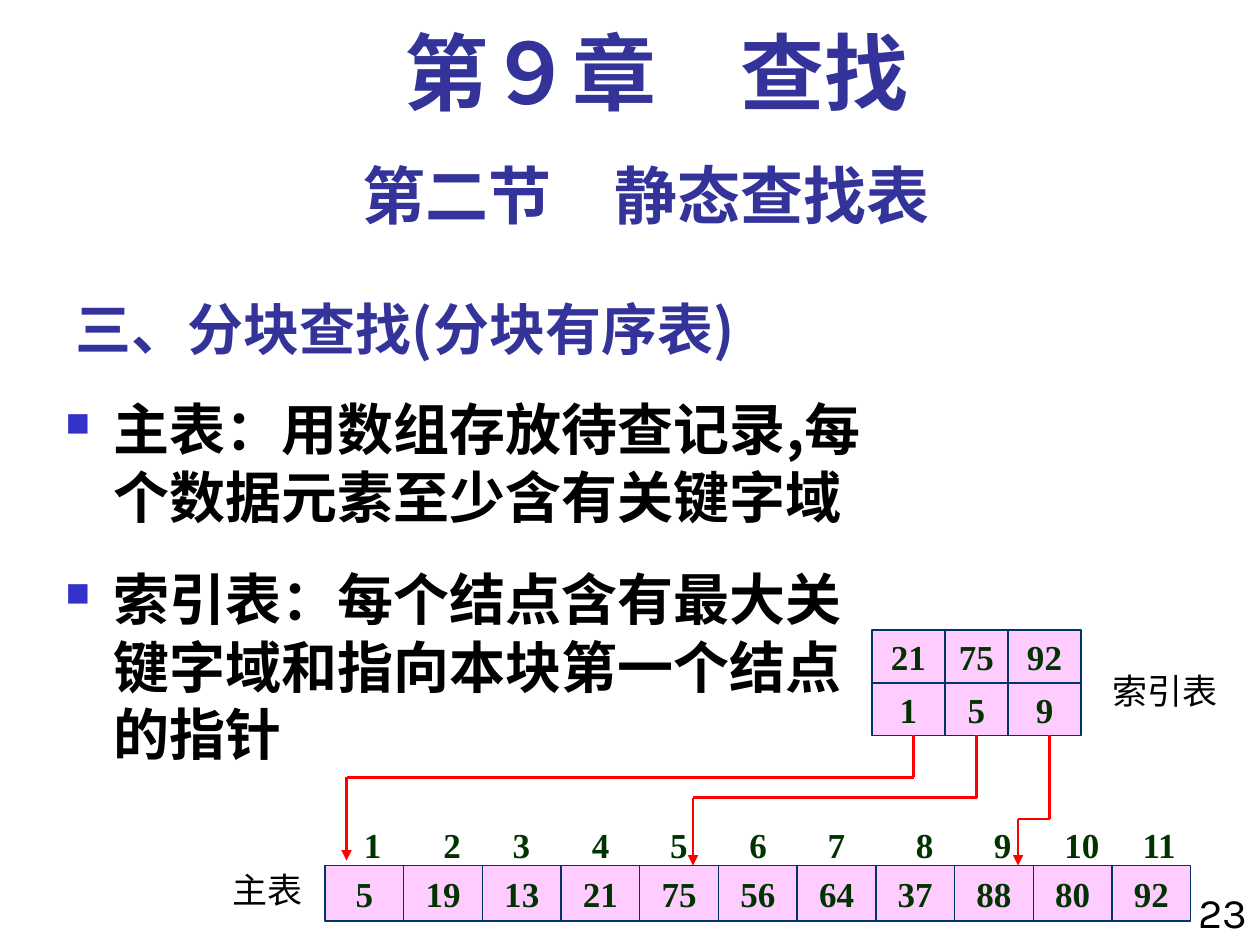
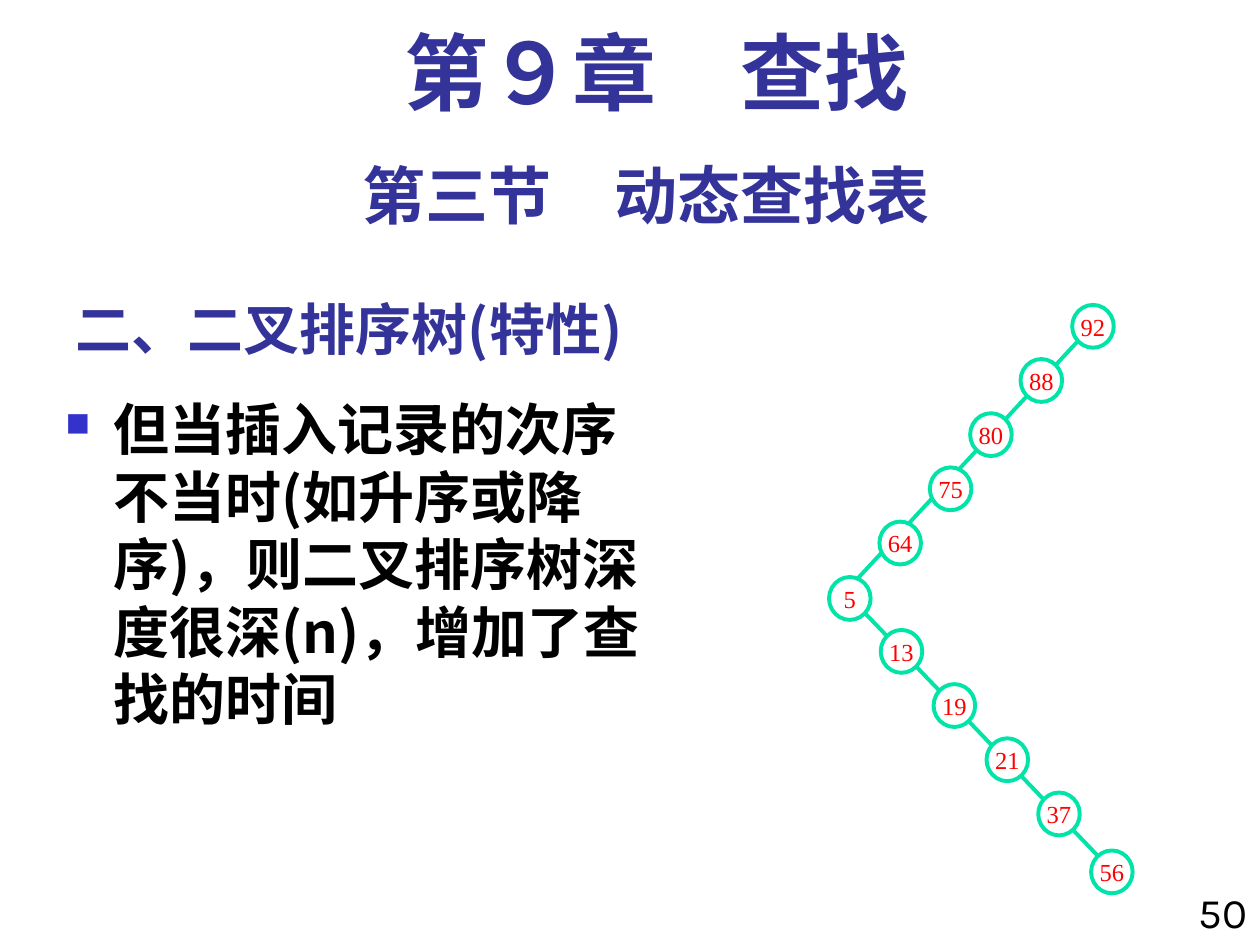
from dataclasses import dataclass
from itertools import accumulate

from lxml import etree
from pptx import Presentation
from pptx.dml.color import RGBColor
from pptx.enum.shapes import MSO_CONNECTOR as CONN, MSO_SHAPE as SHAPE
from pptx.enum.text import MSO_ANCHOR as ANCHOR, PP_ALIGN as ALIGN
from pptx.oxml.ns import qn
from pptx.util import Inches, Pt


@dataclass(frozen=True)
class Theme:
    heading: str = "333399"
    text: str = "000000"
    bullet: str = "3333CC"
    cell_fill: str = "FFCCFF"
    cell_line: str = "003366"
    cell_text: str = "003300"
    pointer: str = "FF0000"
    tree: str = "00E4A8"
    node_fill: str = "FFFFFF"
    sans: str = "Karla"
    cjk: str = "Noto Sans CJK SC"
    serif: str = "Times New Roman"
    chapter_size: int = 48
    section_size: int = 36
    body_size: int = 32
    number_size: int = 24
    label_size: int = 20
    node_size: int = 14


T = Theme()


def rgb(value):
    return RGBColor.from_string(value)


def sub(parent, tag, **attrs):
    return etree.SubElement(parent, qn(tag), attrs)


def add_run(p, text, size, font, color, bold=False):
    r = p.add_run()
    r.text = text
    f = r.font
    f.size, f.bold, f.name = Pt(size), bold, font
    f.color.rgb = rgb(color)
    sub(f._element, "a:ea", typeface=T.cjk)


def text_frame(shapes, box, anchor=ANCHOR.TOP):
    tf = shapes.add_textbox(*map(Inches, box)).text_frame
    tf.word_wrap = True
    tf.vertical_anchor = anchor
    return tf


def add_text(shapes, box, text, size, font, color, bold=False, align=ALIGN.LEFT,
             anchor=ANCHOR.TOP, leading=1.25):
    tf = text_frame(shapes, box, anchor)
    p = tf.paragraphs[0]
    p.alignment = align
    p.line_spacing = Pt(round(size * leading, 1))
    add_run(p, text, size, font, color, bold)
    return tf


def add_bullets(shapes, box, items, gap=20):
    tf = text_frame(shapes, box)
    for i, item in enumerate(items):
        p = tf.add_paragraph() if i else tf.paragraphs[0]
        p.line_spacing = Pt(38.6)
        p.space_before = Pt(gap if i else 0)
        pPr = p._p.get_or_add_pPr()
        pPr.set("marL", str(Inches(0.38)))
        pPr.set("indent", str(-Inches(0.38)))
        sub(sub(pPr, "a:buClr"), "a:srgbClr", val=T.bullet)
        sub(pPr, "a:buSzPct", val="60000")
        sub(pPr, "a:buChar", char="■")
        add_run(p, item, T.body_size, T.cjk, T.text, True)


def add_line(shapes, start, end, color, width, arrow=False):
    c = shapes.add_connector(CONN.STRAIGHT, *map(Inches, (*start, *end)))
    c.line.color.rgb = rgb(color)
    c.line.width = Pt(width)
    if arrow:
        sub(c.line._get_or_add_ln(), "a:tailEnd", type="triangle")
    sub(c._element.spPr, "a:effectLst")


def add_value(shapes, kind, box, text, fill, line, width, size, color, bold):
    """Draw one outlined shape holding a centred number."""
    sp = shapes.add_shape(kind, *map(Inches, box))
    sp.shadow.inherit = False
    sp.fill.solid()
    sp.fill.fore_color.rgb = rgb(fill)
    sp.line.color.rgb = rgb(line)
    sp.line.width = Pt(width)
    tf = sp.text_frame
    tf.word_wrap = False
    tf.vertical_anchor = ANCHOR.MIDDLE
    p = tf.paragraphs[0]
    p.alignment = ALIGN.CENTER
    add_run(p, str(text), size, T.serif, color, bold)


def add_cell(shapes, box, text):
    add_value(shapes, SHAPE.RECTANGLE, box, text, T.cell_fill, T.cell_line, 0.75,
              T.label_size, T.cell_text, True)


def add_node(shapes, left, top, key):
    add_value(shapes, SHAPE.OVAL, (left, top, 0.33, 0.34), key, T.node_fill, T.tree,
              2.25, T.node_size, T.pointer, False)


def add_page(prs, section, topic, number):
    """Add a slide with the chapter, section and topic headings and its number."""
    shapes = prs.slides.add_slide(prs.slide_layouts[6]).shapes
    add_text(shapes, (0.67, 0.17, 9.08, 0.83), "第９章　查找", T.chapter_size, T.serif,
             T.heading, True, ALIGN.CENTER, leading=1.12)
    add_text(shapes, (0.5, 1.17, 9.25, 0.7), section, T.section_size, T.sans,
             T.heading, True, ALIGN.CENTER)
    add_text(shapes, (0.5, 2.17, 6.25, 0.75), topic, T.body_size, T.cjk,
             T.heading, True, anchor=ANCHOR.BOTTOM)
    add_text(shapes, (9.33, 7, 0.67, 0.59), number, T.number_size, T.sans,
             T.text, align=ALIGN.RIGHT, leading=1.17)
    return shapes


def draw_main_table(shapes, left, top, keys):
    """Draw a row of keys under their positions, with the table name at left."""
    cells = shapes.add_group_shape().shapes
    positions = "\t".join(str(i) for i in range(1, len(keys) + 1))
    tf = add_text(cells, (left + 0.21, top - 0.37, 7, 0.44), positions,
                  T.label_size, T.serif, T.cell_text, True, leading=1.15)
    tabs = sub(tf.paragraphs[0]._p.get_or_add_pPr(), "a:tabLst")
    steps = (0.63, 0.55, 0.63, 0.62, 0.63, 0.62, 0.7, 0.62, 0.56, 0.62)
    for pos in accumulate(steps):
        sub(tabs, "a:tab", pos=str(Inches(pos)), algn="l")
    width = 6.87 / len(keys)
    for i, key in enumerate(keys):
        add_cell(cells, (left + i * width, top, width, 0.44), key)
    add_text(shapes, (left - 0.83, top - 0.04, 0.83, 0.44), "主表",
             T.label_size, T.sans, T.text)


def draw_index_table(shapes, left, top, blocks):
    """Draw each block's largest key above the position of its first record."""
    cells = shapes.add_group_shape().shapes
    x = left
    for width, *column in blocks:
        for row, value in enumerate(column):
            add_cell(cells, (x, top + row * 0.42, width, 0.42), value)
        x += width
    tf = add_text(shapes, (left + 1.83, top + 0.25, 1, 0.44), "索引表",
                  T.label_size, T.sans, T.text, align=ALIGN.CENTER)
    tf.margin_left = tf.margin_right = 0


def draw_pointer(shapes, start, bend, end):
    """Draw a red pointer that goes down, across at height bend, and down again."""
    corners = (start[0], bend), (end[0], bend)
    add_line(shapes, corners[1], end, T.pointer, 1.5, arrow=True)
    add_line(shapes, *corners, T.pointer, 1.5)
    add_line(shapes, corners[0], start, T.pointer, 1.5)


def draw_tree(shapes, left, top, descending, ascending):
    """Draw a degenerate tree; nodes are (x, y, key) from the given corner."""
    tree = shapes.add_group_shape().shapes
    for start, end in (((2, 0.26), (0.08, 2.33)), ((0.25, 2.41), (2.15, 4.39))):
        add_line(tree, (left + start[0], top + start[1]),
                 (left + end[0], top + end[1]), T.tree, 2.25)
    for x, y, key in descending + ascending:
        add_node(tree, left + x, top + y, key)


def block_search_slide(prs):
    shapes = add_page(prs, "第二节　静态查找表", "三、分块查找(分块有序表)", "23")
    add_bullets(shapes, (0.42, 3.08, 6.67, 4.42), (
        "主表：用数组存放待查记录,每个数据元素至少含有关键字域",
        "索引表：每个结点含有最大关键字域和指向本块第一个结点的指针"))
    draw_main_table(shapes, 2.58, 6.87, (5, 19, 13, 21, 75, 56, 64, 37, 88, 80, 92))
    draw_index_table(shapes, 6.92, 5, ((0.58, 21, 1), (0.5, 75, 5), (0.58, 92, 9)))
    for source_x, bend, target in ((7.25, 6.17, (2.75, 6.83)),
                                   (7.75, 6.33, (5.5, 6.87)),
                                   (8.33, 6.5, (8.08, 6.87))):
        draw_pointer(shapes, (source_x, 5.83), bend, target)


def sort_tree_slide(prs):
    shapes = add_page(prs, "第三节　动态查找表", "二、二叉排序树(特性)", "50")
    add_bullets(shapes, (0.42, 3.08, 4.92, 4.42), (
        "但当插入记录的次序不当时(如升序或降序)，则二叉排序树深度很深(n)，增加了查找的时间",))
    descending = ((1.93, 0, 92), (1.52, 0.43, 88), (1.12, 0.86, 80),
                  (0.8, 1.29, 75), (0.4, 1.72, 64), (0, 2.16, 5))
    ascending = ((0.41, 2.58, 13), (0.83, 3.01, 19), (1.25, 3.44, 21),
                 (1.66, 3.87, 37), (2.08, 4.33, 56))
    draw_tree(shapes, 6.58, 2.42, descending, ascending)


def main():
    prs = Presentation()
    prs.slide_width, prs.slide_height = Inches(10), Inches(7.5)
    block_search_slide(prs)
    sort_tree_slide(prs)
    prs.save("out.pptx")


if __name__ == "__main__":
    main()
